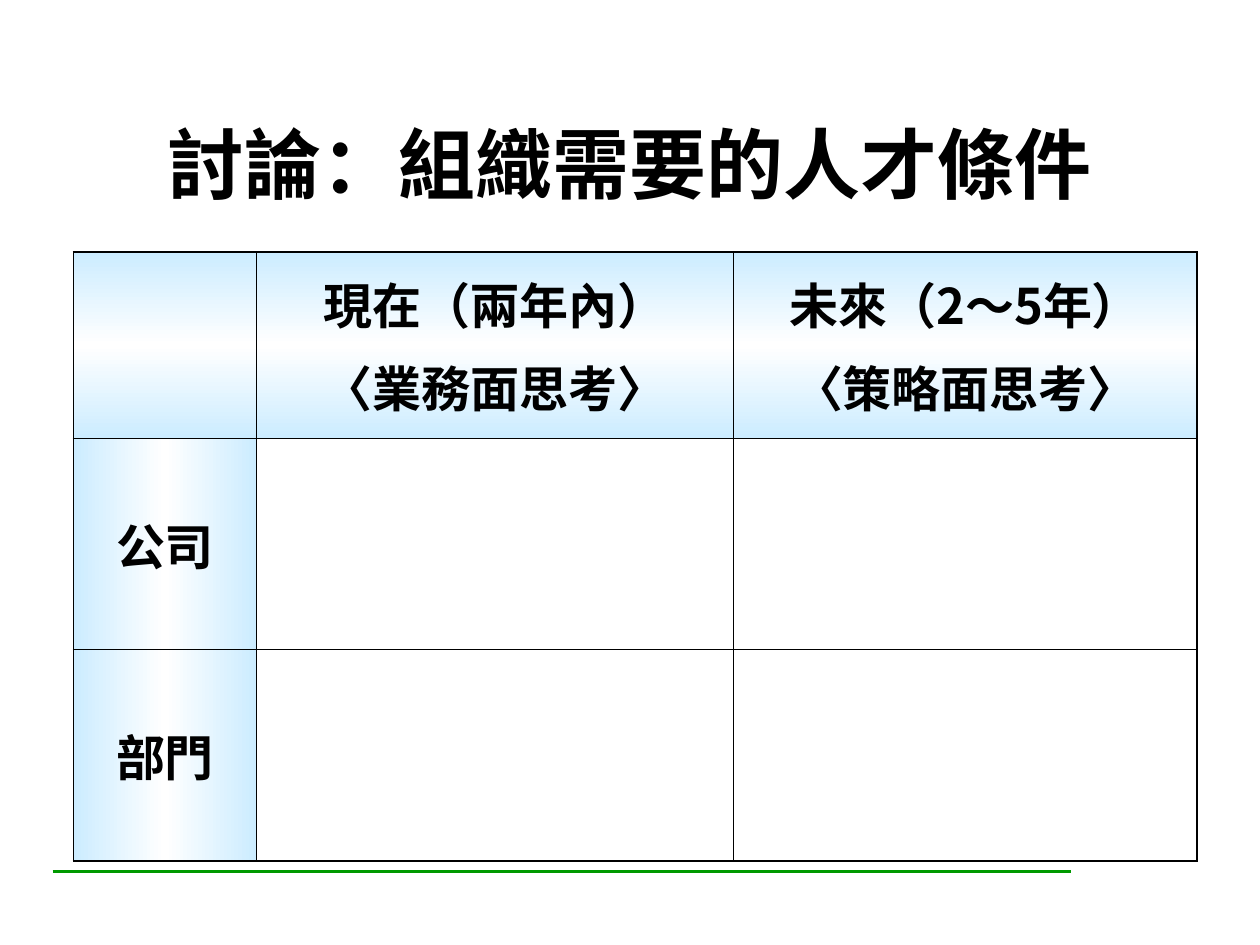
"""Build the discussion slide on the talent an organisation needs."""
from dataclasses import dataclass

from lxml import etree
from pptx import Presentation
from pptx import util as u
from pptx.dml.color import RGBColor
from pptx.enum import shapes, text
from pptx.oxml.ns import qn


@dataclass(frozen=True)
class Theme:
    font: str = "Noto Sans CJK SC"
    ink: str = "000000"
    rule: str = "009900"
    tint: str = "CCECFF"
    paper: str = "FFFFFF"
    title_size: float = 44
    table_size: float = 28
    paragraph_gap: float = 7
    rule_width: float = 1.5
    outer_border: float = 1.08
    inner_border: float = 0.45


class SlideBuilder:
    def __init__(self, page, theme):
        self.page = page
        self.theme = theme

    def add_lines(self, frame, lines, size):
        frame.word_wrap = True
        frame.vertical_anchor = text.MSO_ANCHOR.MIDDLE
        for index, line in enumerate(lines):
            para = frame.add_paragraph() if index else frame.paragraphs[0]
            para.alignment = text.PP_ALIGN.CENTER
            if index:
                para.space_before = u.Pt(self.theme.paragraph_gap)
            span = para.add_run()
            span.text = line
            span.font.size = u.Pt(size)
            span.font.bold = True
            span.font.name = self.theme.font
            span.font.color.rgb = RGBColor.from_string(self.theme.ink)
            properties = span._r.get_or_add_rPr()
            etree.SubElement(properties, qn("a:ea"), typeface=self.theme.font)

    def title(self, line, left, top, width, height):
        box = self.page.shapes.title
        box.left, box.top, box.width, box.height = map(u.Cm, (left, top, width, height))
        box.text_frame.auto_size = text.MSO_AUTO_SIZE.NONE
        self.add_lines(box.text_frame, [line], self.theme.title_size)

    def rule(self, left, top, right):
        line = self.page.shapes.add_connector(
            shapes.MSO_CONNECTOR.STRAIGHT, u.Cm(left), u.Cm(top), u.Cm(right), u.Cm(top))
        line.line.color.rgb = RGBColor.from_string(self.theme.rule)
        line.line.width = u.Pt(self.theme.rule_width)
        etree.SubElement(line._element.spPr, qn("a:effectLst"))

    def border(self, cell, side, width):
        line = etree.SubElement(cell._tc.get_or_add_tcPr(), qn(f"a:ln{side}"),
                                w=str(u.Pt(width)))
        self.color(etree.SubElement(line, qn("a:solidFill")), self.theme.ink)

    def color(self, parent, value):
        etree.SubElement(parent, qn("a:srgbClr"), val=value)

    def gradient(self, cell, angle):
        fill = etree.SubElement(cell._tc.get_or_add_tcPr(), qn("a:gradFill"), rotWithShape="1")
        stops = etree.SubElement(fill, qn("a:gsLst"))
        for position, value in ((0, self.theme.tint), (50, self.theme.paper),
                                (100, self.theme.tint)):
            stop = etree.SubElement(stops, qn("a:gs"), pos=str(position * 1000))
            self.color(stop, value)
        etree.SubElement(fill, qn("a:lin"), ang=str(angle * 60000), scaled="0")

    def table(self, rows, left, top, widths, heights):
        frame = self.page.shapes.add_table(
            len(rows), len(widths), u.Cm(left), u.Cm(top),
            u.Cm(sum(widths)), u.Cm(sum(heights)))
        table = frame.table
        table.first_row = table.horz_banding = False
        for column, width in zip(table.columns, widths):
            column.width = u.Cm(width)
        for row, height in zip(table.rows, heights):
            row.height = u.Cm(height)
        last_row, last_column = len(rows) - 1, len(widths) - 1
        for r, row in enumerate(rows):
            for c, lines in enumerate(row):
                cell = table.cell(r, c)
                outer = {"L": c == 0, "R": c == last_column, "T": r == 0, "B": r == last_row}
                for side, is_outer in outer.items():
                    self.border(cell, side, self.theme.outer_border if is_outer
                                else self.theme.inner_border)
                if r == 0 or c == 0:
                    self.gradient(cell, 90 if r == 0 else 180)
                else:
                    cell.fill.background()
                if lines:
                    self.add_lines(cell.text_frame, lines, self.theme.table_size)
                    cell.vertical_anchor = text.MSO_ANCHOR.MIDDLE


def main():
    deck = Presentation()
    deck.slide_width, deck.slide_height = u.Cm(25.4), u.Cm(19.05)
    page = deck.slides.add_slide(deck.slide_layouts.get_by_name("Title Only"))
    builder = SlideBuilder(page, Theme())
    builder.rule(1.06, 17.57, 21.59)
    builder.title("討論：組織需要的人才條件", 2.06, 1.85, 21.28, 2.87)
    builder.table(
        [[[], ["現在（兩年內）", "〈業務面思考〉"], ["未來（2～5年）", "〈策略面思考〉"]],
         [["公司"], [], []],
         [["部門"], [], []]],
        1.48, 5.08, (3.69, 9.62, 9.34), (3.75, 4.26, 4.26))
    deck.save("out.pptx")


if __name__ == "__main__":
    main()
